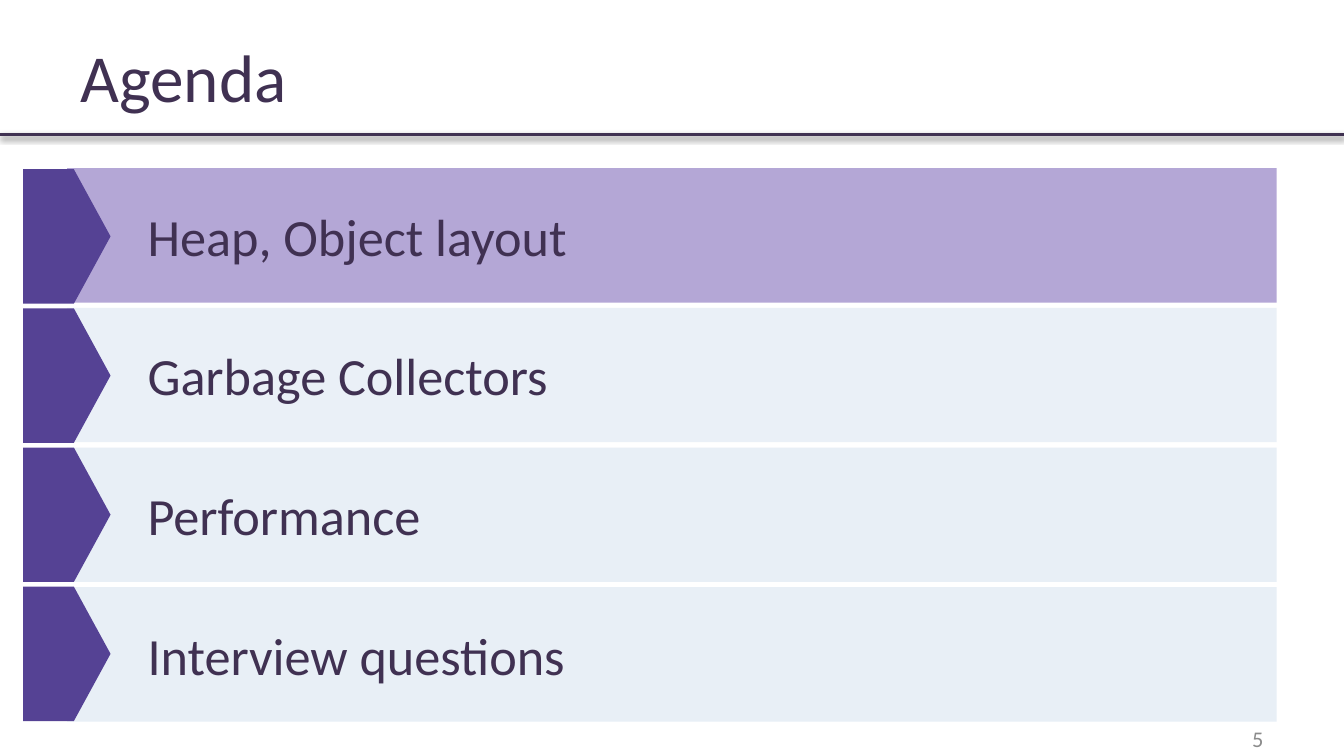
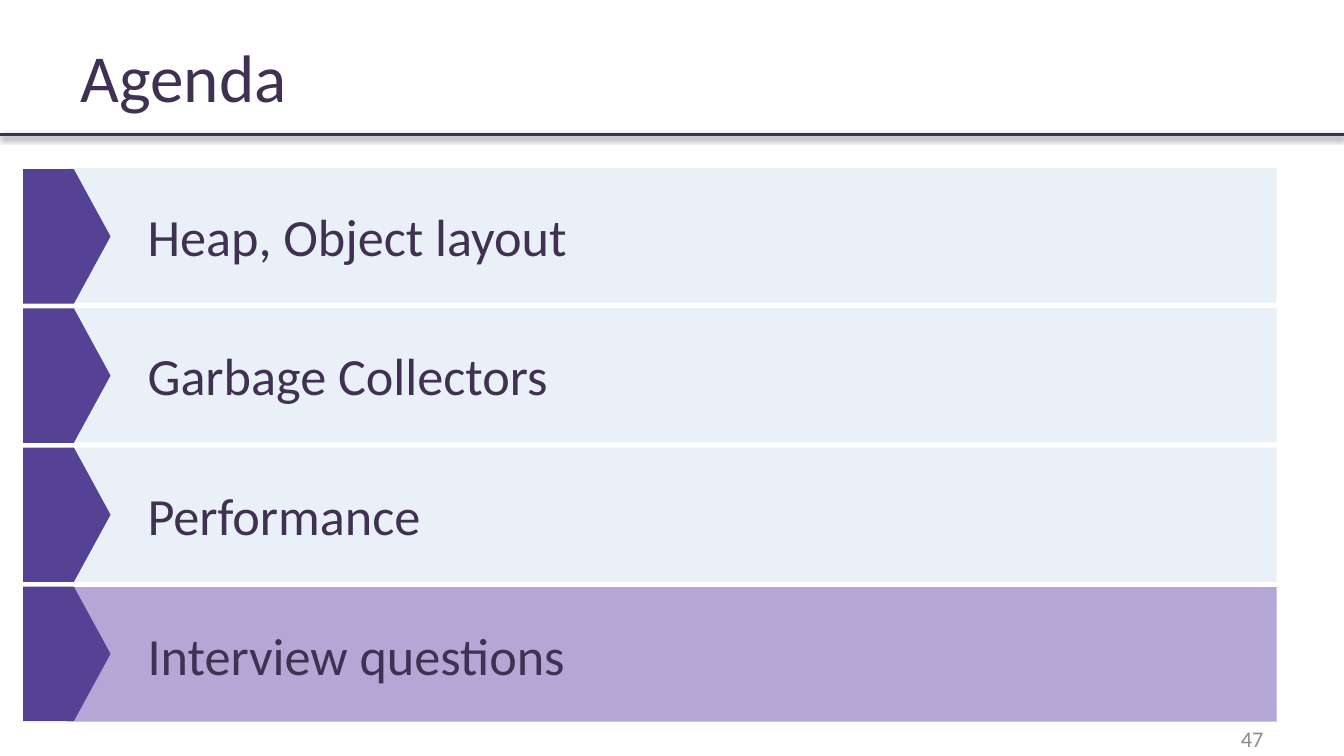
from dataclasses import dataclass

from lxml import etree
from pptx import Presentation
from pptx.dml.color import RGBColor
from pptx.enum.shapes import MSO_CONNECTOR, MSO_SHAPE
from pptx.enum.text import MSO_ANCHOR, PP_ALIGN
from pptx.oxml import parse_xml
from pptx.oxml.ns import nsdecls, qn
from pptx.util import Cm, Pt

STRAIGHT = MSO_CONNECTOR.STRAIGHT
RECTANGLE, PENTAGON = MSO_SHAPE.RECTANGLE, MSO_SHAPE.PENTAGON
LEFT, RIGHT = PP_ALIGN.LEFT, PP_ALIGN.RIGHT
MIDDLE = MSO_ANCHOR.MIDDLE
TITLE_ONLY = 5


@dataclass(frozen=True)
class Theme:
    """Colours, font and type sizes shared by the slides."""

    font: str = "Calibri"
    ink: str = "403152"
    rule: str = "3F3151"
    muted: str = "8B8B8B"
    marker: str = "554294"
    active: str = "B4A7D6"
    pale: str = "EAF0F7"
    veil: str = "DAE5F1"
    veil_opacity: int = 61
    title_size: int = 36
    topic_size: int = 28
    number_size: int = 12


@dataclass(frozen=True)
class Box:
    """A rectangle in centimetres."""

    left: float
    top: float
    width: float
    height: float

    def lengths(self):
        """Return the four sides as slide lengths."""
        return [Cm(side) for side in (self.left, self.top, self.width, self.height)]


THEME = Theme()
PAGE = Box(0, 0, 25.4, 14.29)
TITLE = Box(1.27, 0.58, 22.86, 1.7)
NUMBER = Box(18.21, 13.65, 5.92, 0.64)
AGENDA = Box(0.44, 3.18, 23.69, 10.46)
RULE_TOP = 2.54
TOPICS = ["Heap, Object layout", "Garbage Collectors", "Performance", "Interview questions"]


def write(shape, text, size, color=THEME.ink, align=LEFT, indent=0, inset=0.13):
    """Write one formatted, vertically centred paragraph into a shape."""
    frame = shape.text_frame
    frame.word_wrap = True
    frame.vertical_anchor = MIDDLE
    frame.margin_left = frame.margin_right = Cm(0.25)
    frame.margin_top = frame.margin_bottom = Cm(inset)
    frame.text = text
    paragraph = frame.paragraphs[0]
    paragraph.alignment = align
    if indent:
        paragraph._p.get_or_add_pPr().set("marL", str(Cm(indent)))
    font = paragraph.runs[0].font
    font.name = THEME.font
    font.size = Pt(size)
    font.color.rgb = RGBColor.from_string(color)


def add_block(slide, kind, box, color, opacity=100):
    """Add a flat, borderless shape."""
    block = slide.shapes.add_shape(kind, *box.lengths())
    block.shadow.inherit = False
    block.line.fill.background()
    block.fill.solid()
    block.fill.fore_color.rgb = RGBColor.from_string(color)
    if opacity < 100:
        tint = block.fill._xPr.find(".//" + qn("a:srgbClr"))
        etree.SubElement(tint, qn("a:alpha"), val=str(opacity * 1000))
    return block


def add_heading(slide, page, text):
    """Place the title and the shadowed rule across the page."""
    title = slide.shapes.title
    title.left, title.top, title.width, title.height = TITLE.lengths()
    write(title, text, THEME.title_size)
    height = Cm(page.top + RULE_TOP)
    rule = slide.shapes.add_connector(
        STRAIGHT, Cm(page.left), height, Cm(page.left + page.width), height)
    rule.line.width = Pt(2)
    rule.line.color.rgb = RGBColor.from_string(THEME.rule)
    rule._element.spPr.append(parse_xml(
        f'<a:effectLst {nsdecls("a")}><a:outerShdw blurRad="{Pt(3.1)}" dist="{Pt(1.6)}" '
        'dir="5400000" rotWithShape="0"><a:srgbClr val="000000"><a:alpha val="38000"/>'
        '</a:srgbClr></a:outerShdw></a:effectLst>'))


def add_number(slide, box, number):
    """Place the page number below the agenda."""
    label = slide.shapes.add_textbox(*box.lengths())
    write(label, str(number), THEME.number_size, color=THEME.muted, align=RIGHT, inset=0)


def add_agenda(slide, box, active, veiled):
    """Stack the topic bars with their arrow markers inside the box."""
    row_height, bar_inset, bar_pitch = 2.54, 0.83, 2.64
    marker_width, marker_drop, marker_pitch = 1.65, 0.02, 2.63
    for row, topic in enumerate(TOPICS):
        bar_box = Box(box.left + bar_inset, box.top + row * bar_pitch,
                      box.width - bar_inset, row_height)
        if row == active:
            bar = add_block(slide, RECTANGLE, bar_box, THEME.active)
        elif row in veiled:
            bar = add_block(slide, RECTANGLE, bar_box, THEME.veil, THEME.veil_opacity)
        else:
            bar = add_block(slide, RECTANGLE, bar_box, THEME.pale)
        write(bar, topic, THEME.topic_size, indent=1.27)
        marker_box = Box(box.left, box.top + marker_drop + row * marker_pitch,
                         marker_width, row_height)
        marker = add_block(slide, PENTAGON, marker_box, THEME.marker)
        marker.adjustments[0] = 0.42


def add_agenda_slide(deck, number, active, veiled=()):
    """Add an agenda slide with one topic highlighted."""
    slide = deck.slides.add_slide(deck.slide_layouts[TITLE_ONLY])
    add_heading(slide, PAGE, "Agenda")
    add_agenda(slide, AGENDA, active, veiled)
    add_number(slide, NUMBER, number)


def main():
    """Build and save the deck."""
    deck = Presentation()
    deck.slide_width, deck.slide_height = Cm(PAGE.width), Cm(PAGE.height)
    add_agenda_slide(deck, number=5, active=0, veiled=(2, 3))
    add_agenda_slide(deck, number=47, active=3)
    deck.save("out.pptx")


if __name__ == "__main__":
    main()
